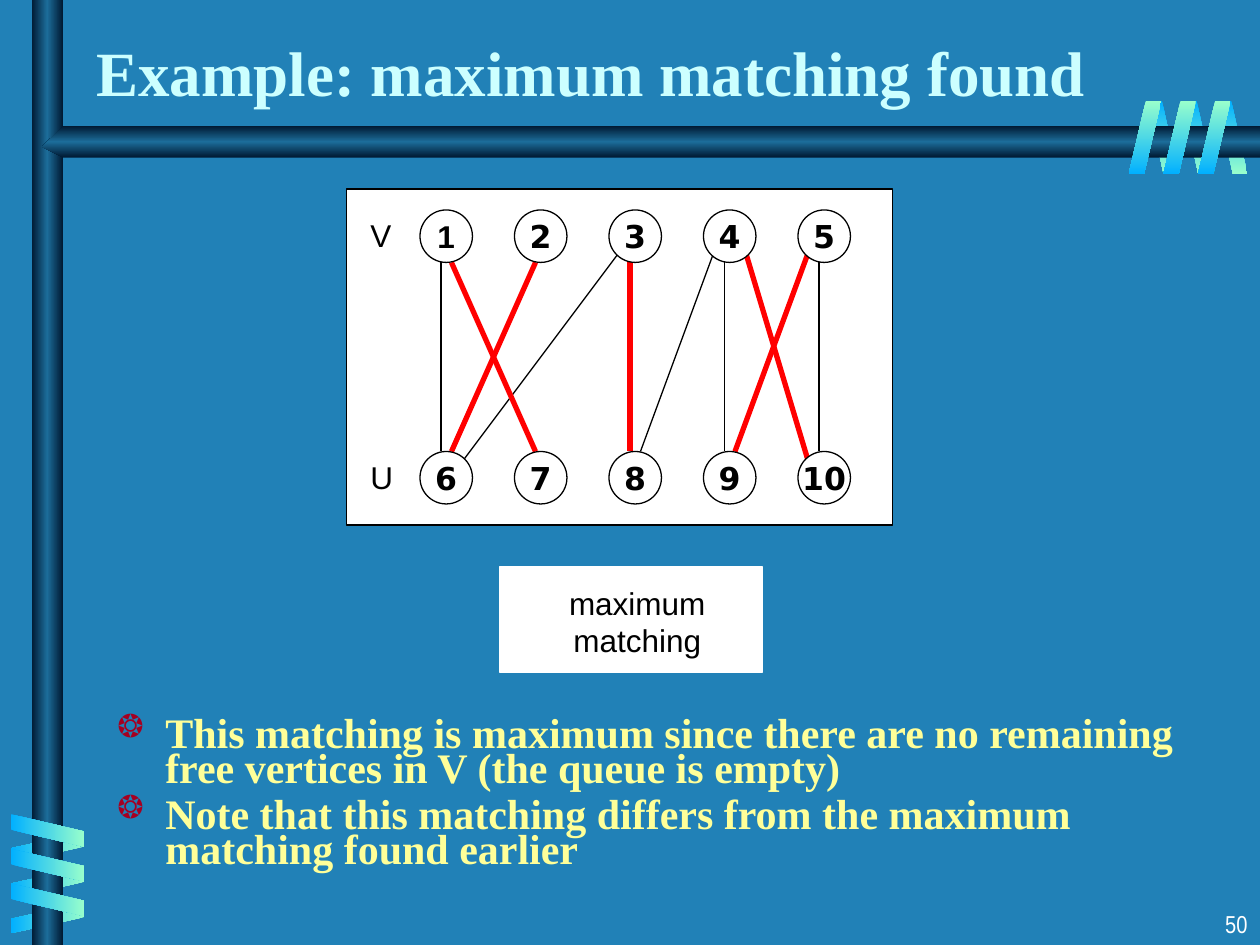
from copy import deepcopy

from lxml import etree
from pptx import Presentation
from pptx.dml import color
from pptx.enum import shapes, text
from pptx.oxml import ns
from pptx.util import Emu, Inches, Pt

CELL = Inches(1) // 12
BLUE, MINT = "01B0FF", "99FFCC"
STEEL = ["001932", "1C6D9A", "001932"]
BLACK, WHITE, RED = "000000", "FFFFFF", "FF0000"
LEFT, MID, RIGHT = text.PP_ALIGN.LEFT, text.PP_ALIGN.CENTER, text.PP_ALIGN.RIGHT
TOP, HALF, BASE = text.MSO_ANCHOR.TOP, text.MSO_ANCHOR.MIDDLE, text.MSO_ANCHOR.BOTTOM


def tint(code):
    return color.RGBColor.from_string(code)


def cells(*nums):
    return [Emu(round(n * CELL)) for n in nums]


class Deck:
    """Draws styled parts on one slide, measured in a grid of 120 by 90 cells."""

    def __init__(self, back):
        self.prs = Presentation()
        self.prs.slide_width, self.prs.slide_height = cells(120, 90)
        self.slide = self.prs.slides.add_slide(self.prs.slide_layouts[6])
        self.items = self.slide.shapes
        fill = self.slide.background.fill
        fill.solid()
        fill.fore_color.rgb = tint(back)

    def blend(self, shape, tones, angle):
        shape.shadow.inherit = False
        shape.line.fill.background()
        fill = shape.fill
        fill.gradient()
        fill.gradient_angle = -angle % 360
        grad = shape._element.spPr.find(ns.qn("a:gradFill"))
        grad.set("rotWithShape", "0")
        stops = grad.find(ns.qn("a:gsLst"))
        while len(stops) < len(tones):
            stops.append(deepcopy(stops[0]))
        for i, (stop, tone) in enumerate(zip(fill.gradient_stops, tones)):
            stop.position = i / (len(tones) - 1)
            stop.color.rgb = tint(tone)

    def shape(self, kind, *place):
        return self.items.add_shape(kind, *cells(*place))

    def box(self, kind, place, fill, line):
        item = self.shape(kind, *place)
        item.shadow.inherit = False
        item.fill.solid()
        item.fill.fore_color.rgb = tint(fill)
        item.line.color.rgb = tint(line)
        item.line.width = Pt(0.75)
        return item

    def slant(self, place, tones, angle, turn=0, flip=False):
        item = self.shape(shapes.MSO_SHAPE.PARALLELOGRAM, *place)
        item.adjustments[0] = 0.53
        item.rotation = turn
        if flip:
            item._element.spPr.xfrm.set("flipH", "1")
        self.blend(item, tones, angle)

    def beam(self, points):
        pen = self.items.build_freeform(*points[0], scale=CELL)
        pen.add_line_segments(points[1:], close=True)
        self.blend(pen.convert_to_shape(), STEEL, 90)

    def line(self, ends, tone, width):
        item = self.items.add_connector(shapes.MSO_CONNECTOR.STRAIGHT, *cells(*ends))
        item.line.color.rgb = tint(tone)
        item.line.width = Pt(width)
        etree.SubElement(item._element.spPr, ns.qn("a:effectLst"))

    def words(self, frame, lines, font, size, tone, bold=False,
              align=LEFT, anchor=TOP, wrap=False, sign=None):
        frame.word_wrap = wrap
        frame.vertical_anchor = anchor
        for i, line in enumerate(lines):
            para = frame.add_paragraph() if i else frame.paragraphs[0]
            para.alignment = align
            if sign:
                self.mark(para, sign)
                para.line_spacing = 0.7
                if i:
                    para.space_before = Pt(6)
            run = para.add_run()
            run.text = line
            run.font.name, run.font.size, run.font.bold = font, Pt(size), bold
            run.font.color.rgb = tint(tone)

    def mark(self, para, sign):
        props = para._p.get_or_add_pPr()
        props.set("marL", str(Inches(0.38)))
        props.set("indent", str(-Inches(0.38)))
        hue = etree.SubElement(props, ns.qn("a:buClr"))
        etree.SubElement(hue, ns.qn("a:srgbClr"), val="A50021")
        etree.SubElement(props, ns.qn("a:buSzPct"), val="75000")
        etree.SubElement(props, ns.qn("a:buChar"), char=sign)

    def text(self, place, lines, *style, **more):
        item = self.items.add_textbox(*cells(*place))
        self.words(item.text_frame, lines, *style, **more)

    def node(self, left, top, label, font):
        item = self.box(shapes.MSO_SHAPE.OVAL, (left, top, 5, 5), WHITE, BLACK)
        self.words(item.text_frame, [label], font, 18, BLACK, True, MID, HALF)


def main():
    deck = Deck("2181B7")
    rect = shapes.MSO_SHAPE.RECTANGLE

    for i in range(3):
        deck.slant((115.9 - 3.3 * i, 9.6, 2.9, 7), [BLUE, MINT], 90, 180, True)
    for i in range(3):
        deck.slant((3.1, 77.2 + 3.36 * i, 2.9, 7), [MINT, BLUE], 0, 90, True)
    deck.blend(deck.shape(rect, 3, 0, 3, 90), STEEL, 0)
    deck.beam([(120, 12), (6, 12), (4, 13.5), (6, 15), (120, 15)])
    for i in range(3):
        deck.slant((3, 75.6 + 3.3 * i, 3.1, 7), [BLUE, MINT], 0, 270)
    for i in range(3):
        deck.slant((114.1 - 3.3 * i, 9.6, 3.1, 7), [MINT, BLUE], 90)

    serif = "Times New Roman"
    deck.text((95, 86, 25, 4), ["50"], "Arial Narrow", 14, WHITE, align=RIGHT, wrap=True)
    deck.text((8, 2, 99.6, 9), ["Example: maximum matching found"],
              serif, 36, "CCFFFF", True, anchor=BASE, wrap=True)
    deck.text((10, 68, 110, 17), [
        "This matching is maximum since there are no remaining free vertices in V (the queue is empty)",
        "Note that this matching differs from the maximum matching found earlier",
    ], serif, 24, "FFFF99", True, wrap=True, sign="❂")

    deck.box(rect, (47.6, 54, 25, 10), WHITE, WHITE)
    deck.text((53, 55, 15.4, 8.4), ["maximum", "matching"], "Arial", 18, BLACK, align=MID)

    deck.box(rect, (33, 18, 52, 32), WHITE, BLACK)
    spare = [(42, 25, 42, 43), (69, 25, 69, 43), (78, 25, 78, 43),
             (59, 24, 44, 44), (68, 24, 61, 43)]
    match = [(43, 25, 51, 43), (60, 25, 60, 43), (51, 25, 43, 43),
             (77, 24, 70, 43), (71, 24, 77, 44)]
    for ends in spare:
        deck.line(ends, BLACK, 0.75)
    for ends in match:
        deck.line(ends, RED, 3)
    for row, (name, top) in enumerate([("V", 20), ("U", 43)]):
        deck.text((34.1, top, 4.4, 4.8), [name], "Arial", 18, BLACK)
        for col in range(5):
            count = 5 * row + col + 1
            font = "Arial" if count == 1 else "DejaVu Sans"
            deck.node(40 + 9 * col, top, str(count), font)

    deck.prs.save("out.pptx")


if __name__ == "__main__":
    main()
